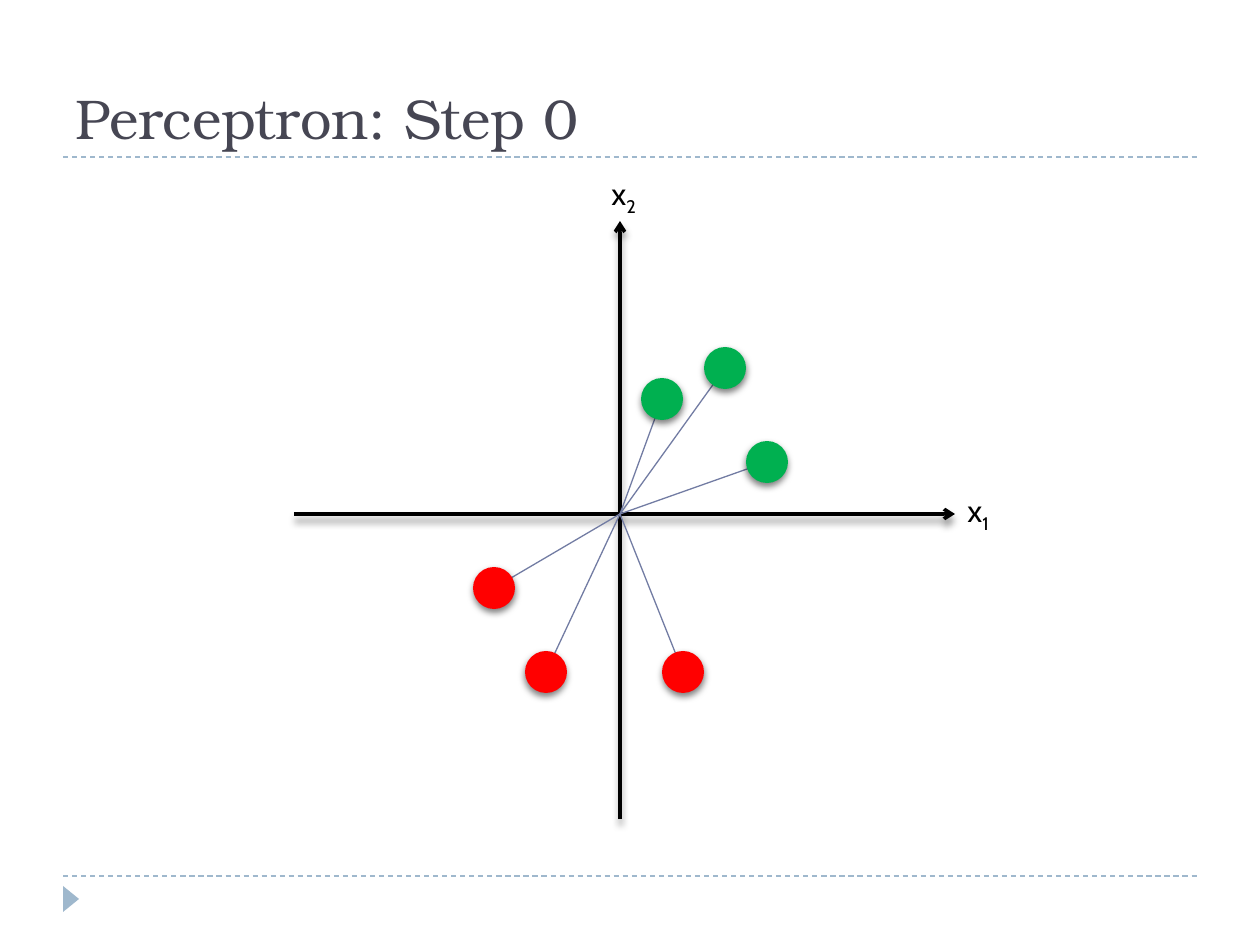
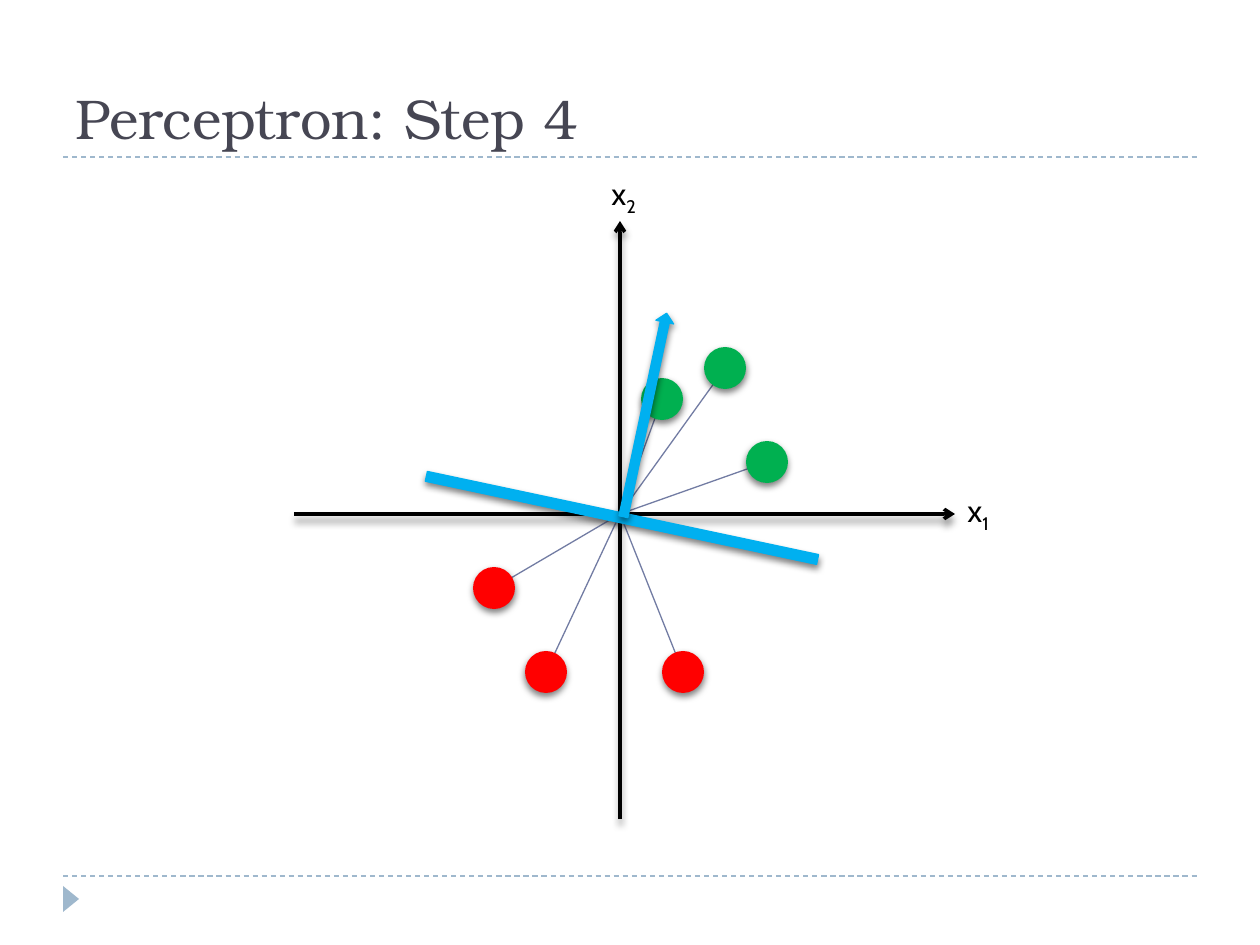
from dataclasses import dataclass

import pptx
import pptx.dml.color
import pptx.enum.dml
import pptx.enum.shapes
import pptx.enum.text
import pptx.oxml
import pptx.oxml.ns
import pptx.util

# Shared scale, colours and fonts
PX = 914400 / 126
RGBColor = pptx.dml.color.RGBColor
SHAPES = pptx.enum.shapes.MSO_SHAPE
RULE = RGBColor(0x9F, 0xB8, 0xCD)
TITLE = RGBColor(0x46, 0x46, 0x53)
BLACK = RGBColor(0, 0, 0)
VECTOR = RGBColor(0x72, 0x7C, 0xA3)
GREEN = RGBColor(0x00, 0xB0, 0x50)
RED = RGBColor(0xFF, 0, 0)
BLUE = RGBColor(0x00, 0xB0, 0xF0)
TITLE_FONT, LABEL_FONT = "TeX Gyre Bonum", "Cabin"


@dataclass(frozen=True)
class Shadow:
    opacity: int
    distance: float


@dataclass(frozen=True)
class Line:
    start: tuple[int, int]
    end: tuple[int, int]
    color: RGBColor
    width: float = 0.75
    dashed: bool = False
    arrow: bool = False
    shadow: Shadow | None = None


@dataclass(frozen=True)
class Shape:
    kind: SHAPES
    box: tuple[int, int, int, int]
    color: RGBColor
    rotation: int = 0
    outlined: bool = False
    shadow: Shadow | None = None


@dataclass(frozen=True)
class Sample:
    center: tuple[int, int]
    color: RGBColor


@dataclass(frozen=True)
class AxisLabel:
    left: int
    top: int
    index: str


AXIS_SHADOW = Shadow(40, 3.4)
SHAPE_SHADOW = Shadow(50, 2)
ORIGIN = (620, 514)
DOT = 42

RULES = [Line((63, y), (1197, y), RULE, dashed=True) for y in (876, 157)]
CORNER_MARK = Shape(SHAPES.ISOSCELES_TRIANGLE, (58, 891, 26, 16), RULE, 90)
AXES = [
    Line((620, 819), (620, 221), BLACK, 2, arrow=True, shadow=AXIS_SHADOW),
    Line((294, 514), (955, 514), BLACK, 2, arrow=True, shadow=AXIS_SHADOW),
]
AXIS_LABELS = [AxisLabel(955, 485, "1"), AxisLabel(599, 168, "2")]
SAMPLES = [
    Sample((662, 399), GREEN),
    Sample((725, 368), GREEN),
    Sample((767, 462), GREEN),
    Sample((494, 588), RED),
    Sample((546, 672), RED),
    Sample((683, 672), RED),
]
# Decision boundary and the weight vector perpendicular to it
CLASSIFIER = [
    Shape(SHAPES.RECTANGLE, (422, 513, 400, 10), BLUE, 12, True, SHAPE_SHADOW),
    Shape(SHAPES.DOWN_ARROW, (636, 311, 18, 208), BLUE, 192, True, SHAPE_SHADOW),
]
SLIDES = [("Perceptron: Step 0", []), ("Perceptron: Step 4", CLASSIFIER)]


def emu(*lengths: int) -> list[int]:
    return [round(length * PX) for length in lengths]


def set_effects(properties, shadow: Shadow | None) -> None:
    """Replace the theme's effects with the given shadow, or with none."""
    namespace = pptx.oxml.ns.nsdecls("a")
    content = ""
    if shadow:
        content = (
            f'<a:outerShdw blurRad="{pptx.util.Pt(4)}" '
            f'dist="{pptx.util.Pt(shadow.distance)}" dir="5400000" rotWithShape="0">'
            f'<a:srgbClr val="000000"><a:alpha val="{shadow.opacity * 1000}"/>'
            "</a:srgbClr></a:outerShdw>"
        )
    properties.append(
        pptx.oxml.parse_xml(f"<a:effectLst {namespace}>{content}</a:effectLst>")
    )


def draw_line(slide, line: Line) -> None:
    connector = slide.shapes.add_connector(
        pptx.enum.shapes.MSO_CONNECTOR.STRAIGHT, *emu(*line.start, *line.end)
    )
    connector.line.color.rgb = line.color
    connector.line.width = pptx.util.Pt(line.width)
    if line.dashed:
        connector.line.dash_style = pptx.enum.dml.MSO_LINE.DASH
    if line.arrow:
        namespace = pptx.oxml.ns.nsdecls("a")
        connector.line._get_or_add_ln().append(
            pptx.oxml.parse_xml(f'<a:tailEnd {namespace} type="arrow"/>')
        )
    set_effects(connector._element.spPr, line.shadow)


def draw_shape(slide, item: Shape) -> None:
    shape = slide.shapes.add_shape(item.kind, *emu(*item.box))
    shape.rotation = item.rotation
    shape.fill.solid()
    shape.fill.fore_color.rgb = item.color
    if item.outlined:
        shape.line.color.rgb = item.color
        shape.line.width = pptx.util.Pt(0.75)
    else:
        shape.line.fill.background()
    set_effects(shape._element.spPr, item.shadow)


def draw_dot(slide, sample: Sample) -> None:
    x, y = sample.center
    box = (x - DOT // 2, y - DOT // 2, DOT, DOT)
    draw_shape(slide, Shape(SHAPES.OVAL, box, sample.color, shadow=SHAPE_SHADOW))


def add_text(slide, box: tuple[int, int, int, int], text: str,
             font_name: str, size: int, color: RGBColor):
    """Add a one-paragraph text box and return its text frame."""
    frame = slide.shapes.add_textbox(*emu(*box)).text_frame
    paragraph = frame.paragraphs[0]
    paragraph.add_run().text = text
    paragraph.font.name = font_name
    paragraph.font.size = pptx.util.Pt(size)
    paragraph.font.color.rgb = color
    return frame


def draw_title(slide, title: str) -> None:
    frame = add_text(slide, (63, 21, 1134, 136), title, TITLE_FONT, 32, TITLE)
    frame.word_wrap = True
    frame.vertical_anchor = pptx.enum.text.MSO_ANCHOR.BOTTOM


def draw_axis_label(slide, label: AxisLabel) -> None:
    box = (label.left, label.top, 52, 50)
    frame = add_text(slide, box, "x", LABEL_FONT, 18, BLACK)
    frame.word_wrap = False
    frame.auto_size = pptx.enum.text.MSO_AUTO_SIZE.SHAPE_TO_FIT_TEXT
    subscript = frame.paragraphs[0].add_run()
    subscript.text = label.index
    subscript._r.get_or_add_rPr().set("baseline", "-25000")


def draw_slide(presentation, title: str, classifier: list[Shape]) -> None:
    slide = presentation.slides.add_slide(presentation.slide_layouts[6])
    # Frame and title
    for rule in RULES:
        draw_line(slide, rule)
    draw_shape(slide, CORNER_MARK)
    draw_title(slide, title)
    # Axes
    for axis in AXES:
        draw_line(slide, axis)
    for label in AXIS_LABELS:
        draw_axis_label(slide, label)
    # Samples, each joined to the origin
    for sample in SAMPLES:
        draw_line(slide, Line(ORIGIN, sample.center, VECTOR, arrow=True))
    for sample in SAMPLES:
        draw_dot(slide, sample)
    for part in classifier:
        draw_shape(slide, part)


def main() -> None:
    presentation = pptx.Presentation()
    presentation.slide_width, presentation.slide_height = emu(1260, 945)
    for title, classifier in SLIDES:
        draw_slide(presentation, title, classifier)
    presentation.save("out.pptx")


if __name__ == "__main__":
    main()
